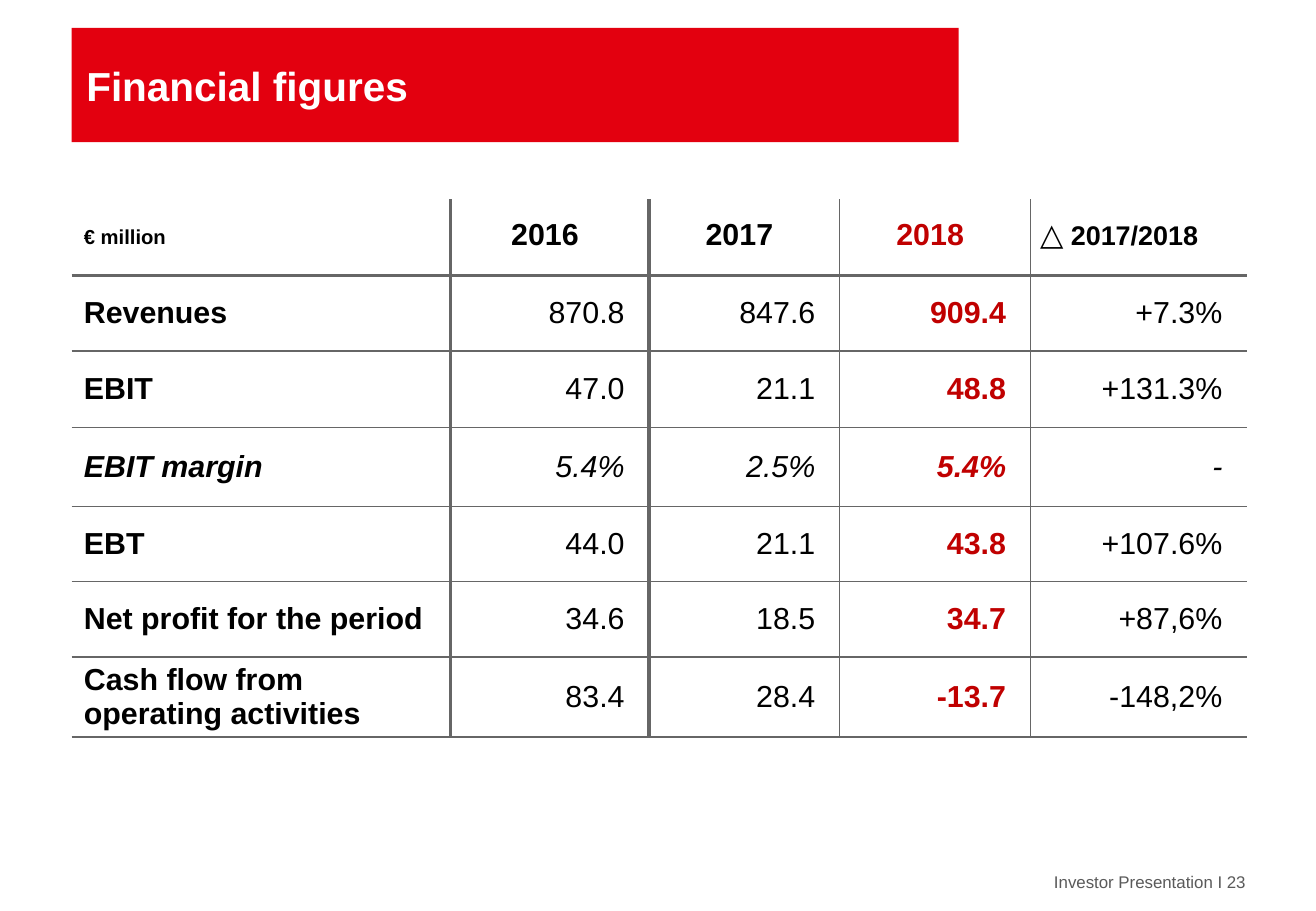
from lxml.etree import SubElement
from pptx import Presentation
from pptx.dml.color import RGBColor
from pptx.enum.text import MSO_ANCHOR as Anchor, MSO_AUTO_SIZE as AutoSize, PP_ALIGN as Align
from pptx.oxml.ns import qn
from pptx.util import Inches, Pt

RED, DARK_RED, BLACK, WHITE = "E3000F", "C00000", "000000", "FFFFFF"
RULE_GRAY, FOOTER_GRAY = "666666", "5A5A5A"
THIN, THICK = 1, 2.25

COLUMN_WIDTHS = [3.12, 1.63, 1.57, 1.57, 1.78]
ROW_HEIGHTS = [0.63, 0.62, 0.63, 0.65, 0.62, 0.62, 0.66]
COLUMN_RULES = [None, THICK, THICK, THIN, THIN, None]
ROW_RULES = [None, THICK] + [THIN] * 6
HIGHLIGHT_COLUMN = 3
CHANGE_COLUMN = 4
ITALIC_ROW = "EBIT margin"

HEADINGS = ["€ million", "2016", "2017", "2018", "△"]
FIGURES = [
    ["Revenues", "870.8", "847.6", "909.4", "+7.3%"],
    ["EBIT", "47.0", "21.1", "48.8", "+131.3%"],
    [ITALIC_ROW, "5.4%", "2.5%", "5.4%", "-"],
    ["EBT", "44.0", "21.1", "43.8", "+107.6%"],
    ["Net profit for the period", "34.6", "18.5", "34.7", "+87,6%"],
    ["Cash flow from operating activities", "83.4", "28.4", "-13.7", "-148,2%"],
]


def color(hex_value):
    return RGBColor.from_string(hex_value)


def add_run(paragraph, text, size, hex_value=BLACK, bold=False, italic=False):
    run = paragraph.add_run()
    run.text = text
    font = run.font
    font.name, font.size = "Arial", Pt(size)
    font.bold, font.italic = bold, italic
    font.color.rgb = color(hex_value)


def set_margins(target, left, top, right, bottom):
    target.margin_left, target.margin_top = Inches(left), Inches(top)
    target.margin_right, target.margin_bottom = Inches(right), Inches(bottom)


def add_title(slide, text):
    title = slide.shapes.title
    title.left, title.top = Inches(0.59), Inches(0.23)
    title.width, title.height = Inches(7.3), Inches(0.94)
    title.fill.solid()
    title.fill.fore_color.rgb = color(RED)
    frame = title.text_frame
    frame.auto_size = AutoSize.NONE
    frame.vertical_anchor = Anchor.MIDDLE
    set_margins(frame, 0.12, 0, 0.12, 0)
    paragraph = frame.paragraphs[0]
    paragraph.alignment = Align.LEFT
    add_run(paragraph, text, 24, WHITE, bold=True)


def add_footer(slide, text):
    footer = slide.shapes.add_textbox(Inches(7.25), Inches(7.18), Inches(3), Inches(0.2))
    frame = footer.text_frame
    frame.word_wrap = True
    set_margins(frame, 0, 0, 0, 0)
    frame.paragraphs[0].alignment = Align.RIGHT
    add_run(frame.paragraphs[0], text, 10, FOOTER_GRAY)


def set_borders(cell, row, column):
    """Rule the cell's four edges; an edge without a weight stays empty."""
    weights = {
        "a:lnL": COLUMN_RULES[column],
        "a:lnR": COLUMN_RULES[column + 1],
        "a:lnT": ROW_RULES[row],
        "a:lnB": ROW_RULES[row + 1],
    }
    properties = cell._tc.get_or_add_tcPr()
    for tag, weight in weights.items():
        line = SubElement(properties, qn(tag))
        if weight is None:
            SubElement(line, qn("a:noFill"))
        else:
            line.set("w", str(Pt(weight)))
            fill = SubElement(line, qn("a:solidFill"))
            SubElement(fill, qn("a:srgbClr")).set("val", RULE_GRAY)


def fill_heading(cell, column, text):
    paragraph = cell.text_frame.paragraphs[0]
    if column == 0:
        set_margins(cell, 0.1, 0.05, 0.1, 0.05)
        add_run(paragraph, text, 12, bold=True)
        return
    is_change = column == CHANGE_COLUMN
    set_margins(cell, 0.08 if is_change else 0, 0, 0.08, 0.04)
    paragraph.alignment = Align.LEFT if is_change else Align.CENTER
    hex_value = DARK_RED if column == HIGHLIGHT_COLUMN else BLACK
    add_run(paragraph, text, 18, hex_value, bold=True)
    if is_change:
        add_run(paragraph, " 2017/2018", 16, bold=True)


def fill_figure(cell, column, text, italic):
    paragraph = cell.text_frame.paragraphs[0]
    if column == 0:
        set_margins(cell, 0.1, 0.05, 0.1, 0.05)
    else:
        set_margins(cell, 0, 0, 0.2, 0)
        paragraph.alignment = Align.RIGHT
    highlighted = column == HIGHLIGHT_COLUMN
    add_run(paragraph, text, 18, DARK_RED if highlighted else BLACK,
            bold=column == 0 or highlighted, italic=italic)


def add_figures_table(slide):
    rows = [HEADINGS] + FIGURES
    table = slide.shapes.add_table(
        len(rows), len(HEADINGS), Inches(0.59), Inches(1.64),
        Inches(sum(COLUMN_WIDTHS)), Inches(sum(ROW_HEIGHTS))).table
    table.first_row = table.horz_banding = False
    for column, width in zip(table.columns, COLUMN_WIDTHS):
        column.width = Inches(width)
    for row, height in zip(table.rows, ROW_HEIGHTS):
        row.height = Inches(height)
    for row_index, values in enumerate(rows):
        for column_index, text in enumerate(values):
            cell = table.cell(row_index, column_index)
            set_borders(cell, row_index, column_index)
            cell.fill.solid()
            cell.fill.fore_color.rgb = color(WHITE)
            cell.vertical_anchor = Anchor.MIDDLE
            if row_index == 0:
                fill_heading(cell, column_index, text)
            else:
                fill_figure(cell, column_index, text, values[0] == ITALIC_ROW)


def main():
    presentation = Presentation()
    presentation.slide_width, presentation.slide_height = Inches(10.83), Inches(7.5)
    slide = presentation.slides.add_slide(presentation.slide_layouts[5])
    add_title(slide, "Financial figures")
    add_figures_table(slide)
    add_footer(slide, "Investor Presentation I 23")
    presentation.save("out.pptx")


if __name__ == "__main__":
    main()
